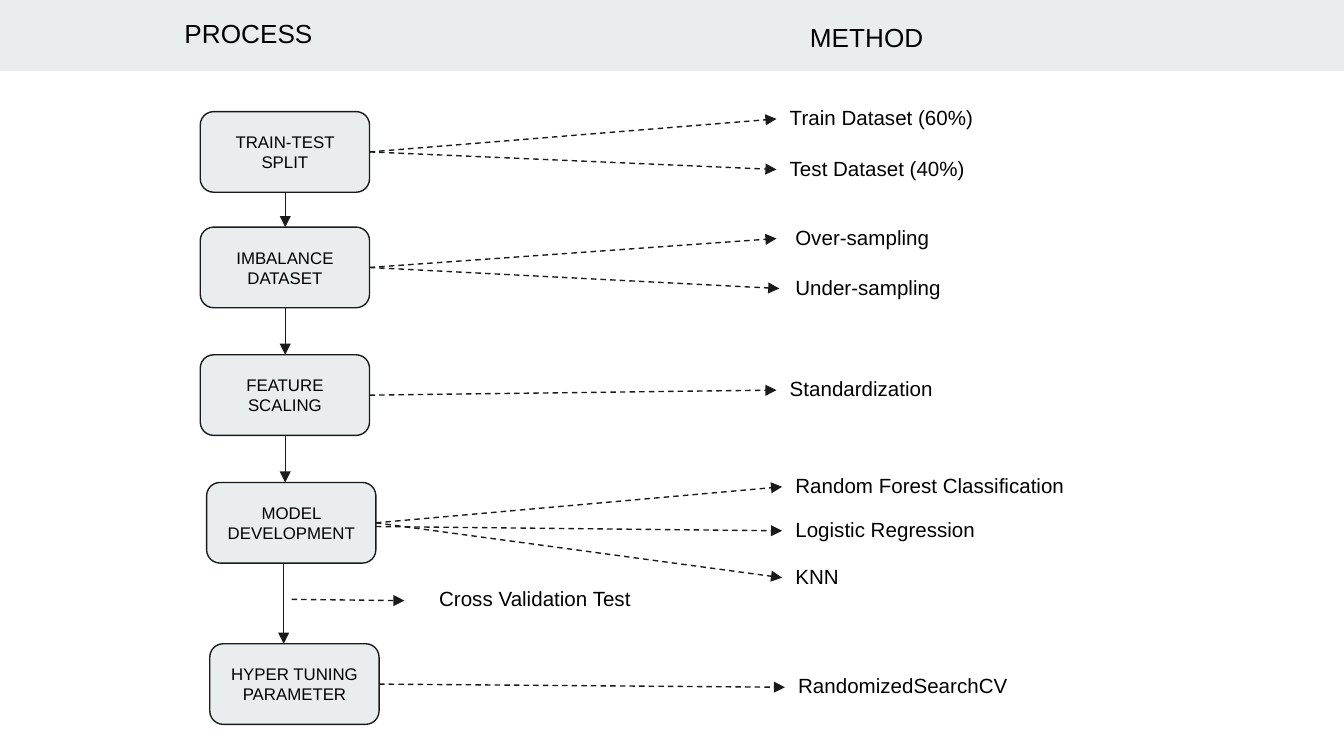
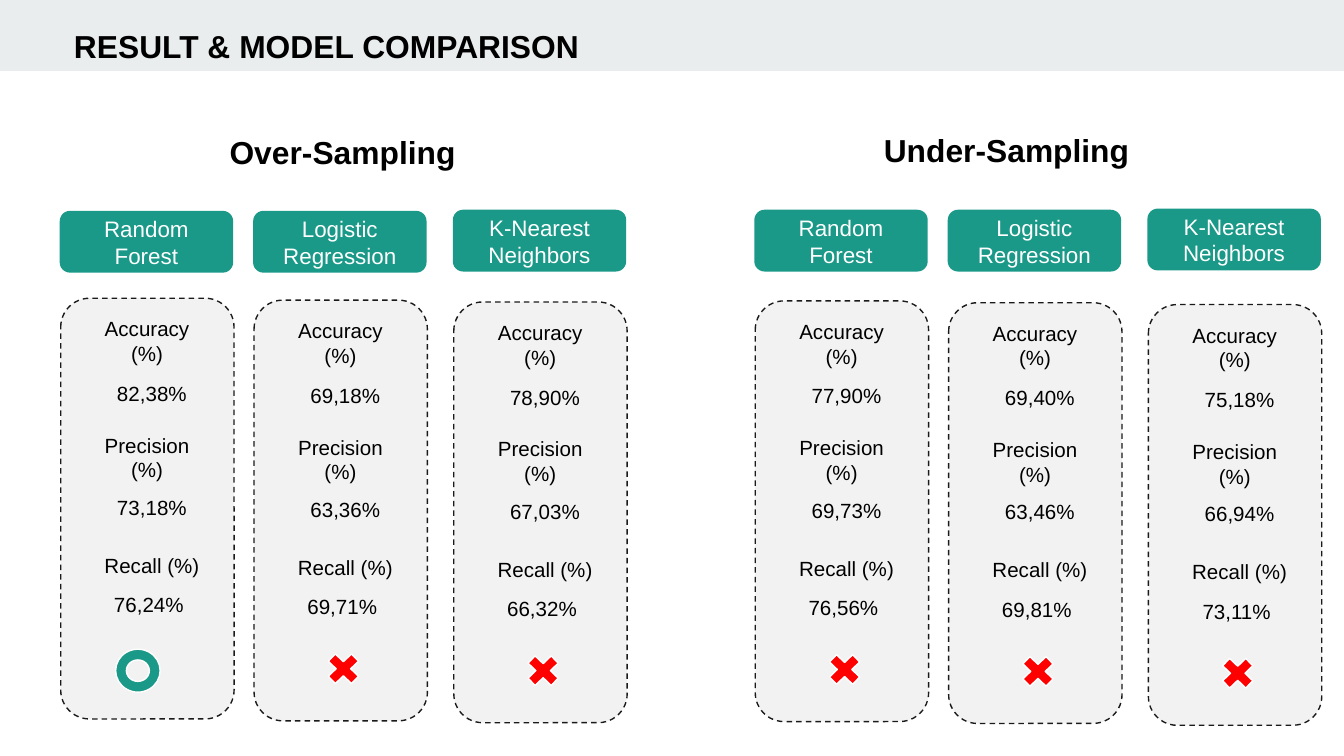
"""Builds two slides: a modelling flow chart and a comparison of results."""
from lxml.etree import SubElement
from pptx import Presentation
from pptx.dml.color import RGBColor
from pptx.enum.dml import MSO_LINE
from pptx.enum.shapes import MSO_CONNECTOR, MSO_SHAPE
from pptx.enum.text import MSO_ANCHOR, MSO_AUTO_SIZE, PP_ALIGN
from pptx.oxml.ns import qn
from pptx.util import Pt

FONT = "Arial"
BLACK, WHITE, INK = "000000", "FFFFFF", "1A1A1A"
BAND, CARD, TEAL, RED = "E9EDEE", "F2F2F2", "1A9988", "FF0000"
LEFT, CENTER = PP_ALIGN.LEFT, PP_ALIGN.CENTER

BOX_W, BOX_H = 90.7, 43.2
METHOD_H = 28
# name, left, top, methods as (text, left, top, width, arrow tip, arrow start shift)
STEPS = [
    ("TRAIN-TEST SPLIT", 107.3, 59.8, [
        ("Train Dataset (60%)", 416, 49.7, 141, 416, 0),
        ("Test Dataset (40%)", 416, 76.8, 141, 416, 0)]),
    ("IMBALANCE DATASET", 107.3, 121.7, [
        ("Over-sampling", 419, 113.8, 141, 416, 0),
        ("Under-sampling", 419, 140.6, 141, 417.5, 0)]),
    ("FEATURE SCALING", 107.3, 190.1, [
        ("Standardization", 416, 195, 141, 416, 0)]),
    ("MODEL DEVELOPMENT", 110.7, 258.5, [
        ("Random Forest Classification", 419, 246.8, 165, 419, 0),
        ("Logistic Regression", 419, 270.4, 165, 419, 2),
        ("KNN", 419, 295.5, 165, 419, 0)]),
    ("HYPER TUNING PARAMETER", 112.4, 344.9, [
        ("RandomizedSearchCV", 420.5, 354.2, 141, 420.5, 0)]),
]
FLOW_X = [152.8, 152.8, 152.8, 152]

MODELS = ["Random Forest", "Logistic Regression", "K-Nearest Neighbors"]
METRICS = ["Accuracy (%)", "Precision (%)", "Recall (%)"]
GROUPS = [
    {"name": "Over-Sampling", "name_box": (115.2, 64.1, 136.8), "left": 32.5,
     "card_top": 159.8, "head_top": 113, "best": 0,
     "values": [("82,38%", "73,18%", "76,24%"),
                ("69,18%", "63,36%", "69,71%"),
                ("78,90%", "67,03%", "66,32%")]},
    {"name": "Under-Sampling", "name_box": (465.1, 62.6, 148.3), "left": 404.6,
     "card_top": 161.2, "head_top": 112.4, "best": None,
     "values": [("77,90%", "69,73%", "76,56%"),
                ("69,40%", "63,46%", "69,81%"),
                ("75,18%", "66,94%", "73,11%")]},
]
COLUMN_X = [0, 103.6, 210.6]
CARD_W, CARD_H, HEAD_H = 92.9, 225.4, 33.1
LABEL_AT = [(9.6, 2.5, 41), (9.6, 64.8, 41), (12.2, 129.8, 28)]
VALUE_AT = [(12.2, 37.6), (12.2, 98.7), (10.6, 151)]


def color(hex_text):
    """Return the colour for a hex string."""
    return RGBColor.from_string(hex_text)


def write(s, text, size, fill=BLACK, bold=False, align=CENTER, pad=7.2, anchor=MSO_ANCHOR.TOP):
    """Put one formatted run into a shape."""
    tf = s.text_frame
    tf.word_wrap = True
    tf.vertical_anchor = anchor
    tf.margin_left = tf.margin_right = Pt(7.2)
    tf.margin_top = tf.margin_bottom = Pt(pad)
    p = tf.paragraphs[0]
    p.alignment = align
    r = p.add_run()
    r.text = text
    r.font.name, r.font.size, r.font.bold = FONT, Pt(size), bold
    r.font.color.rgb = color(fill)


def add_text(slide, text, x, y, w, h, size, **style):
    """Add a text box that grows with its text."""
    s = slide.shapes.add_textbox(Pt(x), Pt(y), Pt(w), Pt(h))
    write(s, text, size, **style)
    s.text_frame.auto_size = MSO_AUTO_SIZE.SHAPE_TO_FIT_TEXT


def add_box(slide, kind, x, y, w, h, fill, line=None, dash=False):
    """Add a flat preset shape."""
    s = slide.shapes.add_shape(kind, Pt(x), Pt(y), Pt(w), Pt(h))
    s.shadow.inherit = False
    s.fill.solid()
    s.fill.fore_color.rgb = color(fill)
    if line:
        s.line.color.rgb = color(line)
        s.line.width = Pt(0.75)
    else:
        s.line.fill.background()
    if dash:
        s.line.dash_style = MSO_LINE.DASH
    return s


def add_arrow(slide, x1, y1, x2, y2, dash=False):
    """Add a straight arrow."""
    s = slide.shapes.add_connector(MSO_CONNECTOR.STRAIGHT, Pt(x1), Pt(y1), Pt(x2), Pt(y2))
    s.line.color.rgb = color(INK)
    s.line.width = Pt(0.75)
    if dash:
        s.line.dash_style = MSO_LINE.DASH
    SubElement(s.line._get_or_add_ln(), qn("a:tailEnd"), type="triangle")
    SubElement(s._element.spPr, qn("a:effectLst"))


def new_slide(prs, title, x, y, w, h, size, **style):
    """Add a slide with the top band and its title."""
    slide = prs.slides.add_slide(prs.slide_layouts[5])
    band = add_box(slide, MSO_SHAPE.RECTANGLE, 0, 0, 720, 38, BAND)
    slide.shapes._spTree.insert(2, band._element)
    s = slide.shapes.title
    s.left, s.top, s.width, s.height = Pt(x), Pt(y), Pt(w), Pt(h)
    write(s, title, size, **style)
    s.text_frame.auto_size = MSO_AUTO_SIZE.SHAPE_TO_FIT_TEXT
    return slide


def build_process(prs):
    """Build the flow chart of steps and methods."""
    slide = new_slide(prs, "PROCESS", 87.8, 2.2, 90.7, 31.7, 14)
    add_text(slide, "METHOD", 419, 4.2, 90.7, 31.7, 14)
    for name, x, y, methods in STEPS:
        s = add_box(slide, MSO_SHAPE.FLOWCHART_ALTERNATE_PROCESS, x, y, BOX_W, BOX_H, BAND, INK)
        write(s, name, 9, anchor=MSO_ANCHOR.MIDDLE)
        for text, left, top, width, tip, shift in methods:
            add_text(slide, text, left, top, width, METHOD_H, 11, align=LEFT)
            add_arrow(slide, x + BOX_W, y + BOX_H / 2 + shift, tip, top + METHOD_H / 2, dash=True)
    for x, upper, lower in zip(FLOW_X, STEPS, STEPS[1:]):
        add_arrow(slide, x, upper[2] + BOX_H, x, lower[2])
    add_text(slide, "Cross Validation Test", 228.2, 307.4, 141, METHOD_H, 11, align=LEFT)
    add_arrow(slide, 156.2, 321.1, 216.7, 321.8, dash=True)


def add_column(slide, model, values, x, card_y, head_y, best):
    """Add a model's heading, card, metrics and mark."""
    head = add_box(slide, MSO_SHAPE.ROUNDED_RECTANGLE, x - 0.5, head_y, CARD_W, HEAD_H, TEAL)
    write(head, model, 12, fill=WHITE, pad=3.6, anchor=MSO_ANCHOR.MIDDLE)
    add_box(slide, MSO_SHAPE.ROUNDED_RECTANGLE, x, card_y, CARD_W, CARD_H, CARD, INK, dash=True)
    for metric, (dx, dy, h) in zip(METRICS, LABEL_AT):
        add_text(slide, metric, x + dx, card_y + dy, 73.4, h, 11)
    for value, (dx, dy) in zip(values, VALUE_AT):
        add_text(slide, value, x + dx, card_y + dy, 73.4, 28, 11)
    kind, fill, dx, dy = ((MSO_SHAPE.DONUT, TEAL, 29.5, 188) if best
                          else (MSO_SHAPE.MATH_MULTIPLY, RED, 36, 186))
    add_box(slide, kind, x + dx, card_y + dy, 23.8, 23, fill, WHITE)


def build_results(prs):
    """Build the comparison of models under both samplings."""
    slide = new_slide(prs, "RESULT & MODEL COMPARISON", 32.4, 7.2, 578, 35.3, 17,
                      bold=True, align=LEFT)
    for group in GROUPS:
        x, y, w = group["name_box"]
        add_text(slide, group["name"], x, y, w, 35.3, 17, bold=True)
        for i, (model, values) in enumerate(zip(MODELS, group["values"])):
            head_y = group["head_top"] - (0.6 if i == 2 else 0)
            add_column(slide, model, values, group["left"] + COLUMN_X[i],
                       group["card_top"] + i, head_y, i == group["best"])


def main():
    """Build and save the deck."""
    prs = Presentation()
    prs.slide_width, prs.slide_height = Pt(720), Pt(405)
    build_process(prs)
    build_results(prs)
    prs.save("out.pptx")


if __name__ == "__main__":
    main()
